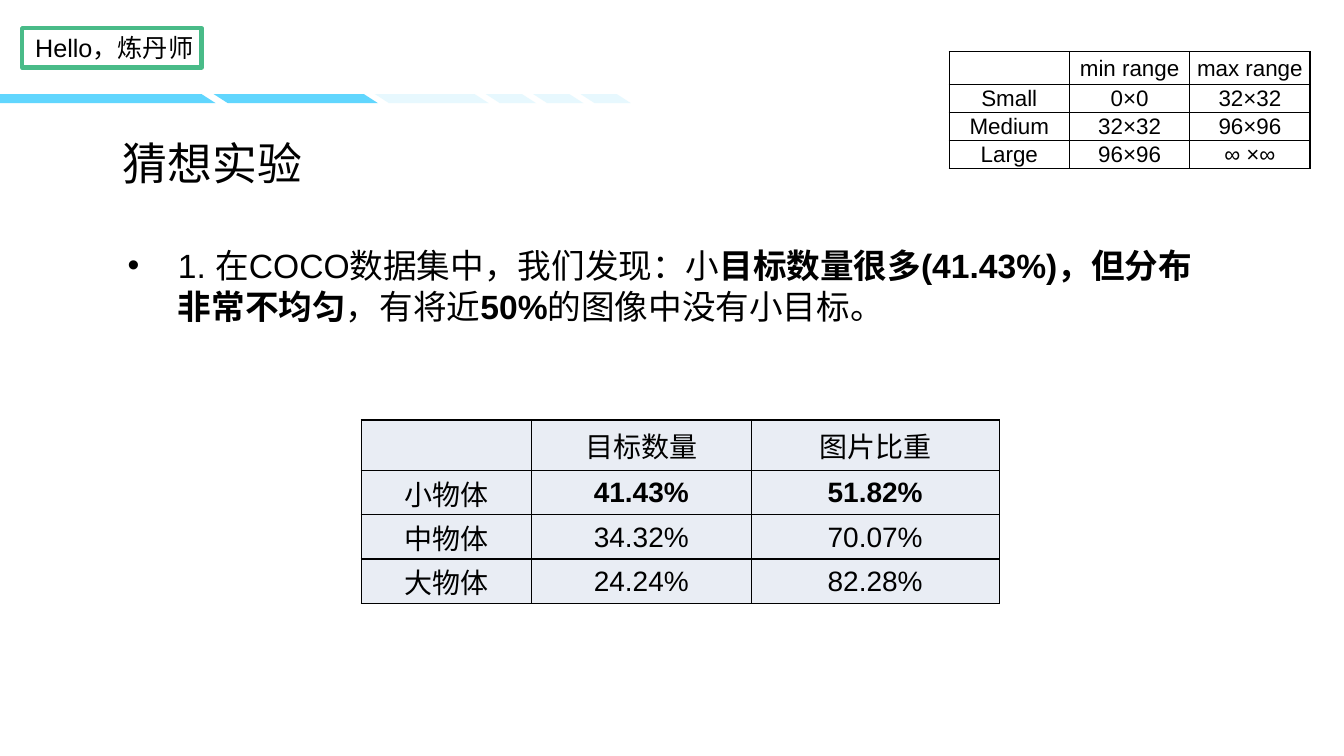
from dataclasses import dataclass

from lxml import etree
from pptx import Presentation
from pptx.dml.color import RGBColor
from pptx.enum.shapes import MSO_SHAPE
from pptx.enum.text import MSO_ANCHOR, PP_ALIGN
from pptx.oxml.ns import qn
from pptx.util import Inches, Pt

RECTANGLE = MSO_SHAPE.RECTANGLE
MIDDLE, TOP = MSO_ANCHOR.MIDDLE, MSO_ANCHOR.TOP
LEFT, CENTER = PP_ALIGN.LEFT, PP_ALIGN.CENTER
TITLE_ONLY = 5
COLUMNS, ROWS = 160, 90


@dataclass(frozen=True)
class Theme:
    ink: str = "000000"
    ribbon: str = "61D6FE"
    frame: str = "49BB88"
    cell: str = "E9EDF4"
    latin: str = "Arial"
    asian: str = "Noto Sans CJK SC"
    title: int = 32
    body: int = 24
    table: int = 20
    label: int = 18
    small: int = 16


def write(para, text, *, theme, size, font=None, bold=False):
    span = para.add_run()
    span.text = text
    span.font.size = Pt(size)
    span.font.bold = bold
    span.font.name = font or theme.latin
    span.font.color.rgb = RGBColor.from_string(theme.ink)
    asian = etree.SubElement(span.font._element, qn("a:ea"))
    asian.set("typeface", theme.asian)


class SlideBuilder:
    def __init__(self, deck, theme):
        self.theme = theme
        self.column = deck.slide_width / COLUMNS
        self.row = deck.slide_height / ROWS
        self.page = deck.slides.add_slide(deck.slide_layouts[TITLE_ONLY])

    def across(self, columns):
        return round(columns * self.column)

    def down(self, rows):
        return round(rows * self.row)

    def area(self, left, top, width, height):
        return self.across(left), self.down(top), self.across(width), self.down(height)

    def title(self, text, area):
        box = self.page.shapes.title
        box.left, box.top, box.width, box.height = self.area(*area)
        frame = box.text_frame
        frame.margin_left = frame.margin_right = frame.margin_top = frame.margin_bottom = 0
        frame.vertical_anchor = MIDDLE
        frame.paragraphs[0].alignment = LEFT
        write(frame.paragraphs[0], text, theme=self.theme, size=self.theme.title, font=self.theme.asian)

    def text(self, parts, area, size, anchor=TOP, spacing=None, bullet=None):
        frame = self.page.shapes.add_textbox(*self.area(*area)).text_frame
        frame.word_wrap = True
        frame.vertical_anchor = anchor
        para = frame.paragraphs[0]
        if spacing:
            para.line_spacing = Pt(spacing)
        if bullet:
            properties = para._p.get_or_add_pPr()
            indent = self.across(6)
            properties.set("marL", str(indent))
            properties.set("indent", str(-indent))
            etree.SubElement(properties, qn("a:buFont")).set("typeface", self.theme.latin)
            etree.SubElement(properties, qn("a:buChar")).set("char", bullet)
        for text, bold in parts:
            write(para, text, theme=self.theme, size=size, bold=bold)

    def frame(self, area, weight):
        shape = self.page.shapes.add_shape(RECTANGLE, *self.area(*area))
        shape.shadow.inherit = False
        shape.fill.background()
        shape.line.color.rgb = RGBColor.from_string(self.theme.frame)
        shape.line.width = Pt(weight)

    def ribbon(self, segments, top, height, slant, opacity=100):
        outlines = [
            [(self.across(x), self.down(y)) for x, y in (
                (left, top), (left + width, top),
                (left + width + slant, top + height),
                (left + slant if left else 0, top + height))]
            for left, width in segments
        ]
        builder = self.page.shapes.build_freeform(*outlines[0][0])
        for index, outline in enumerate(outlines):
            if index:
                builder.move_to(*outline[0])
            builder.add_line_segments(outline[1:], close=True)
        shape = builder.convert_to_shape()
        shape.shadow.inherit = False
        shape.fill.solid()
        shape.fill.fore_color.rgb = RGBColor.from_string(self.theme.ribbon)
        shape.line.fill.background()
        if opacity < 100:
            color = shape._element.spPr.find(qn("a:solidFill"))[0]
            etree.SubElement(color, qn("a:alpha")).set("val", str(opacity * 1000))

    def table(self, values, left, top, widths, heights, size, fill=None, strong=()):
        area = self.area(left, top, sum(widths), sum(heights))
        table = self.page.shapes.add_table(len(heights), len(widths), *area).table
        table.first_row = table.horz_banding = False
        for column, width in zip(table.columns, widths):
            column.width = self.across(width)
        for row, height in zip(table.rows, heights):
            row.height = self.down(height)
        for row, line in enumerate(values):
            for column, text in enumerate(line):
                self.cell(table.cell(row, column), text, size, fill, text in strong)

    def cell(self, cell, text, size, fill, bold):
        cell.margin_left = cell.margin_right = cell.margin_top = Inches(0.01)
        cell.margin_bottom = 0
        cell.vertical_anchor = MIDDLE
        if fill:
            cell.fill.solid()
            cell.fill.fore_color.rgb = RGBColor.from_string(fill)
        else:
            cell.fill.background()
        properties = cell._tc.get_or_add_tcPr()
        for index, side in enumerate(("lnL", "lnR", "lnT", "lnB")):
            border = etree.Element(qn(f"a:{side}"), w=str(Pt(1)))
            paint = etree.SubElement(border, qn("a:solidFill"))
            etree.SubElement(paint, qn("a:srgbClr")).set("val", self.theme.ink)
            properties.insert(index, border)
        para = cell.text_frame.paragraphs[0]
        para.alignment = CENTER
        if text:
            write(para, text, theme=self.theme, size=size, bold=bold)


def main():
    deck = Presentation()
    deck.slide_width, deck.slide_height = Inches(13.33), Inches(7.5)
    theme = Theme()
    slide = SlideBuilder(deck, theme)

    band = {"top": 11.2, "height": 1.08, "slant": 1.68}
    slide.ribbon([(0, 24), (25.44, 17.88)], **band)
    dashes = [(57.84 + 5.64 * step, 4.32) for step in range(3)]
    slide.ribbon([(44.64, 11.88), *dashes], opacity=15, **band)

    slide.frame((2.64, 3.36, 21.36, 4.68), weight=3)
    slide.text([("Hello，炼丹师", False)], (3, 3.36, 61, 4.68), theme.label, anchor=MIDDLE)
    slide.title("猜想实验", (14.64, 16.08, 57.12, 6.48))
    slide.text(
        [("1. 在COCO数据集中，我们发现：小", False),
         ("目标数量很多(41.43%)，但分布非常不均匀", True),
         ("，有将近", False),
         ("50%", True),
         ("的图像中没有小目标。", False)],
        (14, 28.56, 132, 4.8), theme.body, spacing=29, bullet="•")

    slide.table(
        [("", "目标数量", "图片比重"),
         ("小物体", "41.43%", "51.82%"),
         ("中物体", "34.32%", "70.07%"),
         ("大物体", "24.24%", "82.28%")],
        43, 50, (20.28, 26.16, 29.52), (6, 5.28, 5.28, 5.28),
        theme.table, fill=theme.cell, strong=("41.43%", "51.82%"))
    slide.table(
        [("", "min range", "max range"),
         ("Small", "0×0", "32×32"),
         ("Medium", "32×32", "96×96"),
         ("Large", "96×96", "∞ ×∞")],
        113, 6.12, (14.32,) * 3, (3.96, 3.06, 3.06, 3.06), theme.small)

    deck.save("out.pptx")


if __name__ == "__main__":
    main()
